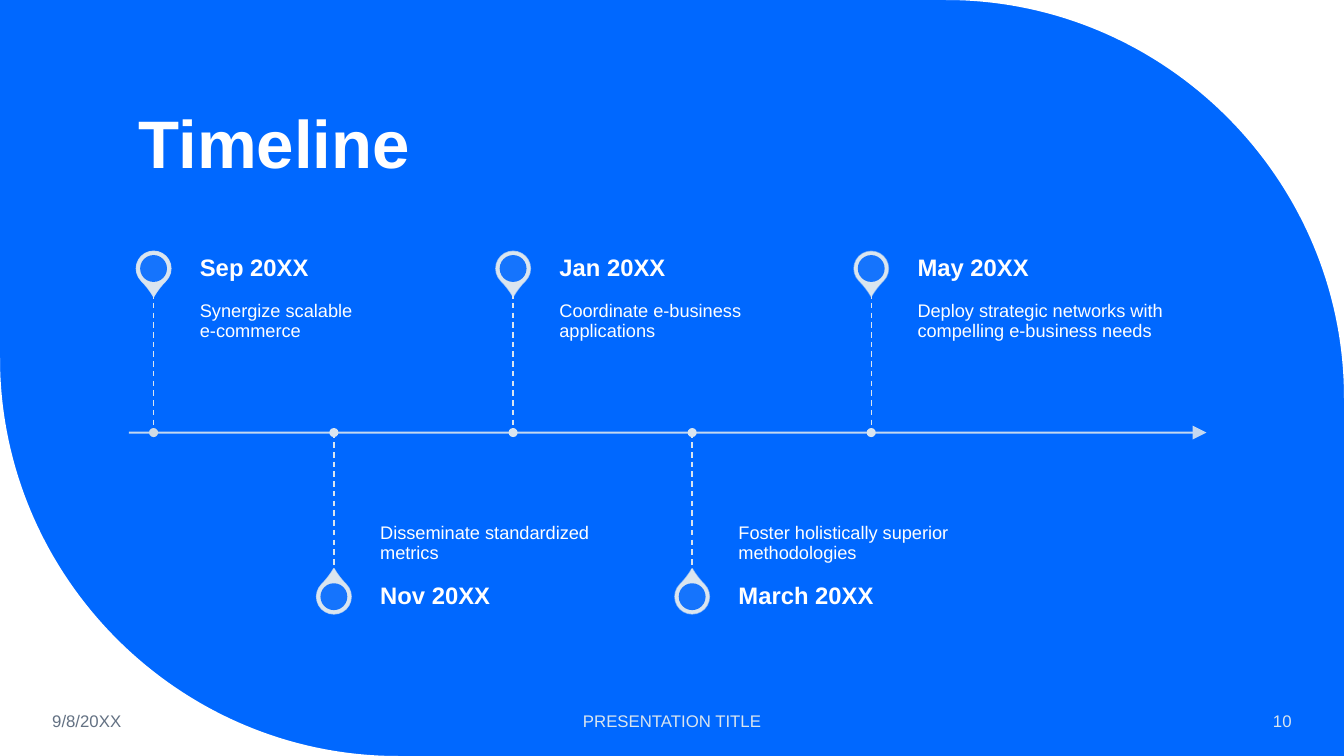
from lxml import etree
from pptx import Presentation
from pptx.dml.color import RGBColor
from pptx.enum.dml import MSO_LINE
from pptx.enum.shapes import MSO_CONNECTOR, MSO_SHAPE
from pptx.enum.text import MSO_ANCHOR, MSO_AUTO_SIZE, PP_ALIGN
from pptx.oxml.ns import qn
from pptx.util import Pt

TOP, MIDDLE, BOTTOM = MSO_ANCHOR.TOP, MSO_ANCHOR.MIDDLE, MSO_ANCHOR.BOTTOM
LEFT, CENTER, RIGHT = PP_ALIGN.LEFT, PP_ALIGN.CENTER, PP_ALIGN.RIGHT
OVAL, TEARDROP = MSO_SHAPE.OVAL, MSO_SHAPE.TEAR
STRAIGHT, DASH = MSO_CONNECTOR.STRAIGHT, MSO_LINE.DASH

BLUE, WHITE, PALE, GREY, SILVER = "0068FF", "FFFFFF", "DAE5EF", "637183", "D0DBE4"
WIDTH, HEIGHT = 960, 540
CORNER_RADIUS = 284.4
CIRCLE_HANDLE = 0.55
DEFAULT_INSETS = (7.2, 3.6, 7.2, 3.6)

MILESTONES = [
    (109.7, "Sep 20XX", "Synergize scalable\ve-commerce", SILVER),
    (238.5, "Nov 20XX", "Disseminate standardized metrics", PALE),
    (366.5, "Jan 20XX", "Coordinate e-business applications", PALE),
    (494.4, "March 20XX", "Foster holistically superior methodologies", PALE),
    (622.3, "May 20XX",
     "Deploy strategic networks with compelling e-business needs", PALE),
]
STEM_LENGTH, LABEL_HEIGHT = 99.6, 35.2
TEXT_OFFSET, TEXT_WIDTH = 33.1, 182.5
PIN_SIZE, PIN_HOLE, DOT_SIZE = 24.6, 19.2, 6.5

FOOTERS = [
    ((30.2, 500.4, 134, 28.8), "9/8/20XX", GREY, LEFT),
    ((318.1, 500.4, 324, 28.8), "PRESENTATION TITLE", PALE, CENTER),
    ((799.4, 500.4, 130.3, 28.8), "10", PALE, RIGHT),
]


def rgb(value):
    return RGBColor.from_string(value)


def points(*lengths):
    return [Pt(length) for length in lengths]


def set_values(target, values):
    for name, value in values.items():
        setattr(target, name, value)


def set_opacity(properties, percent):
    """Make the solid fill inside a shape's or line's properties translucent."""
    color = properties.find(qn("a:solidFill"))[0]
    etree.SubElement(color, qn("a:alpha"), val=str(percent * 1000))


def fill_shape(shape, color):
    shape.shadow.inherit = False
    shape.fill.solid()
    shape.fill.fore_color.rgb = rgb(color)
    shape.line.fill.background()


def write_text(shape, text, size, color, bold=False, anchor=TOP,
               alignment=LEFT, spacing=1.0, insets=DEFAULT_INSETS):
    frame = shape.text_frame
    left, top, right, bottom = points(*insets)
    set_values(frame, {
        "word_wrap": True, "auto_size": MSO_AUTO_SIZE.NONE,
        "vertical_anchor": anchor, "margin_left": left, "margin_top": top,
        "margin_right": right, "margin_bottom": bottom, "text": text,
    })
    paragraph = frame.paragraphs[0]
    set_values(paragraph, {"alignment": alignment, "line_spacing": spacing})
    for run in paragraph.runs:
        set_values(run.font, {"name": "Arial", "size": Pt(size), "bold": bold})
        run.font.color.rgb = rgb(color)


def add_text(slide, box, text, size, color, **text_format):
    textbox = slide.shapes.add_textbox(*points(*box))
    write_text(textbox, text, size, color, **text_format)


def add_centred(slide, kind, x, y, size, color):
    shape = slide.shapes.add_shape(
        kind, *points(x - size / 2, y - size / 2, size, size))
    fill_shape(shape, color)
    return shape


def add_line(slide, start, end, width):
    line = slide.shapes.add_connector(STRAIGHT, *points(*start, *end))
    line.line.width = Pt(width)
    line.line.color.rgb = rgb(PALE)
    etree.SubElement(line._element.spPr, qn("a:effectLst"))
    return line


def add_corner(slide, x, y, direction):
    """Fill the area between a slide corner and a quarter circle.

    direction is 1 where the area extends right and down, -1 for left and up.
    """
    horizontal, vertical = direction
    far_x, far_y = x + horizontal * CORNER_RADIUS, y + vertical * CORNER_RADIUS
    handle_x = far_x - horizontal * CORNER_RADIUS * CIRCLE_HANDLE
    handle_y = far_y - vertical * CORNER_RADIUS * CIRCLE_HANDLE
    builder = slide.shapes.build_freeform(*points(far_x, y))
    builder.add_line_segments([points(handle_x, y), points(x, handle_y),
                               points(x, far_y), points(x, y)], close=True)
    corner = builder.convert_to_shape()
    fill_shape(corner, WHITE)

    segments = list(corner._element.iter(qn("a:lnTo")))[:3]
    curve = etree.Element(qn("a:cubicBezTo"))
    segments[0].addprevious(curve)
    for segment in segments:
        curve.append(segment[0])
        segment.getparent().remove(segment)


def add_background(slide):
    slide.background.fill.solid()
    slide.background.fill.fore_color.rgb = rgb(BLUE)
    add_corner(slide, WIDTH, 0, (-1, 1))
    add_corner(slide, 0, HEIGHT, (1, -1))


def add_title(slide, box, text):
    title = slide.shapes.title
    left, top, width, height = points(*box)
    set_values(title, {"left": left, "top": top,
                       "width": width, "height": height})
    write_text(title, text, 48, WHITE, bold=True, anchor=BOTTOM, spacing=0.9)


def add_pin(slide, x, y, rotation, outline_opacity):
    pin = add_centred(slide, TEARDROP, x, y, PIN_SIZE, PALE)
    pin.adjustments[0] = 1.15
    pin.rotation = rotation
    pin.line.color.rgb = rgb(PALE)
    pin.line.width = Pt(1)
    set_opacity(pin._element.spPr.get_or_add_ln(), outline_opacity)
    hole = add_centred(slide, OVAL, x, y, PIN_HOLE, BLUE)
    set_opacity(hole._element.spPr, 90)


def add_milestone(slide, x, axis, date, description, dot_color, above,
                  outline_opacity):
    direction = -1 if above else 1
    stem_end = axis + direction * STEM_LENGTH
    label_middle = stem_end + direction * LABEL_HEIGHT / 2
    text_left = x + TEXT_OFFSET

    add_pin(slide, x, label_middle, 135 if above else 315, outline_opacity)
    add_text(slide, (text_left, min(axis, stem_end), TEXT_WIDTH, STEM_LENGTH),
             description, 13, WHITE, spacing=0.9,
             anchor=TOP if above else BOTTOM,
             insets=(0, 6.5, 6.5, 10) if above else (0, 10, 0, 6.5))
    add_text(slide, (text_left, label_middle - LABEL_HEIGHT / 2,
                     TEXT_WIDTH, LABEL_HEIGHT),
             date, 17, WHITE, bold=True, anchor=MIDDLE, spacing=0.9,
             insets=(0, 0, 8.6, 0))
    stem = add_line(slide, (x, min(axis, stem_end)),
                    (x, max(axis, stem_end)), 1)
    stem.line.dash_style = DASH
    add_centred(slide, OVAL, x, axis, DOT_SIZE, dot_color)


def add_timeline(slide, left, right, axis):
    arrow = add_line(slide, (left, axis), (right, axis), 1.5)
    outline = arrow._element.spPr.get_or_add_ln()
    set_opacity(outline, 90)
    etree.SubElement(outline, qn("a:tailEnd"),
                     type="triangle", w="lg", len="lg")
    for index, (x, date, description, dot_color) in enumerate(MILESTONES):
        add_milestone(slide, x, axis, date, description, dot_color,
                      index % 2 == 0, 90 - 10 * index)


def add_footers(slide):
    for box, text, color, alignment in FOOTERS:
        add_text(slide, box, text, 12, color,
                 anchor=MIDDLE, alignment=alignment)


def main():
    presentation = Presentation()
    presentation.slide_width, presentation.slide_height = points(WIDTH, HEIGHT)
    slide = presentation.slides.add_slide(presentation.slide_layouts[5])
    add_background(slide)
    add_title(slide, (91.9, 0, 769.7, 134.6), "Timeline")
    add_timeline(slide, 92.1, 861.8, 309)
    add_footers(slide)
    presentation.save("out.pptx")


if __name__ == "__main__":
    main()
